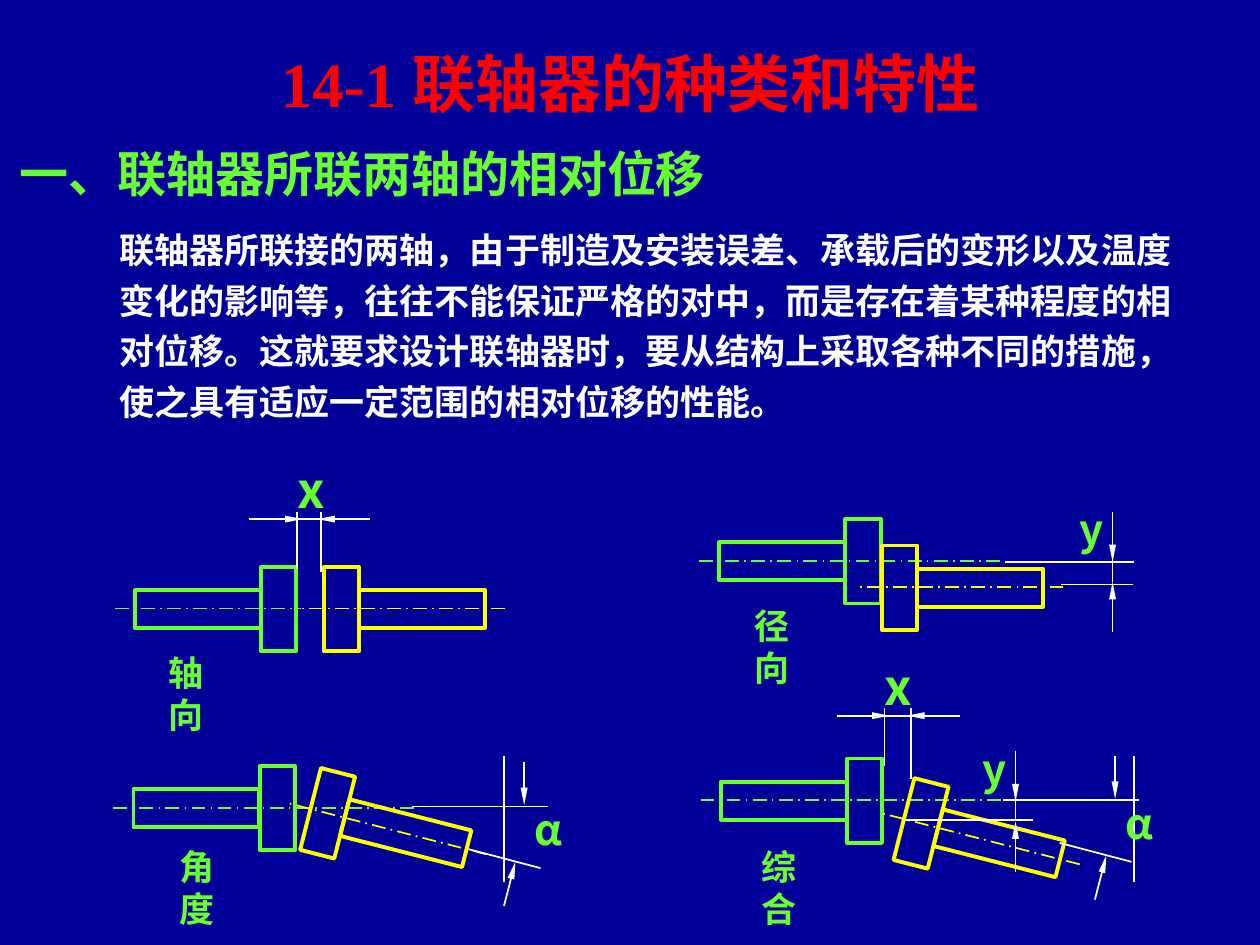
import math
from lxml import etree
from pptx import Presentation
from pptx.dml.color import RGBColor
from pptx.enum import dml, shapes, text
from pptx.oxml import ns
from pptx.util import Inches, Pt

NAVY = RGBColor(0x00, 0x00, 0x99)
RED = RGBColor(0xFF, 0x00, 0x00)
GREEN = RGBColor(0x66, 0xFF, 0x33)
YELLOW = RGBColor(0xFF, 0xFF, 0x00)
WHITE = RGBColor(0xFF, 0xFF, 0xFF)
SANS, SERIF = "Noto Sans CJK SC", "Times New Roman"

# Content
TITLE = "14-1 联轴器的种类和特性"
HEAD = "一、联轴器所联两轴的相对位移"
BODY = ("联轴器所联接的两轴，由于制造及安装误差、承载后的变形以及温度变化的影响等，"
        "往往不能保证严格的对中，而是存在着某种程度的相对位移。这就要求设计联轴器时，"
        "要从结构上采取各种不同的措施，使之具有适应一定范围的相对位移的性能。")

# Name, its place, green flange, end of green axis, yellow flange, tilt, yellow axis
PAIRS = [
    ("轴向", (1.1, 5.12), (2.07, 4.5), 2.39, (2.57, 4.5), 0, (4.01, 4.83, 2.37, 4.83)),
    ("径向", (5.75, 4.75), (6.71, 4.12), 7.96, (7, 4.33), 0, (8.44, 4.66, 6.8, 4.66)),
    ("角度", (1.19, 6.66), (2.06, 6.08), 3.3, (2.46, 6.12), 14.3, (3.86, 6.78, 2.27, 6.37)),
    ("综合", (5.81, 6.66), (6.72, 6.02), 7.96, (7.17, 6.2), 14.3, (8.57, 6.86, 6.98, 6.45)),
]
# Left extension line, height of the arrows, gap, ends of the extension lines
X_DIMS = [(2.36, 4.12, 0.19, 4.52, 4.54), (7.02, 5.68, 0.21, 6.08, 6.18)]
# Arrow x, top of the upper arrow, reference lines
Y_DIMS = [
    (8.83, 4.06, [(7.98, 4.46, 9, 4.46), (8.42, 4.64, 8.99, 4.64)]),
    (8.06, 5.96, [(7.18, 6.51, 8.2, 6.51)]),
]
# Left end of the level line
ANGLES = [(3.27, 6.4), (7.96, 6.35)]

FLANGE, SHAFT = (0.28, 0.67), (1, 0.3)

prs = Presentation()
prs.slide_width, prs.slide_height = Inches(10), Inches(7.5)
slide = prs.slides.add_slide(prs.slide_layouts[5])
slide.background.fill.solid()
slide.background.fill.fore_color.rgb = NAVY


def style(frame, words, size, color, face=SANS, align=text.PP_ALIGN.LEFT):
    frame.text = words
    par = frame.paragraphs[0]
    par.alignment = align
    font = par.font
    font.size, font.bold, font.name = Pt(size), True, face
    font.color.rgb = color
    latin = par._p.pPr.find(".//" + ns.qn("a:latin"))
    east = etree.Element(ns.qn("a:ea"), typeface=SANS)
    latin.addnext(east)
    return par


def label(words, box, size, color=GREEN, face=SANS, wrap=False, inset=True, **kw):
    frame = slide.shapes.add_textbox(*map(Inches, box)).text_frame
    frame.word_wrap = wrap
    if not inset:
        frame.margin_left = frame.margin_right = 0
        frame.margin_top = frame.margin_bottom = 0
    return style(frame, words, size, color, face, **kw)


def line(ends, color=WHITE, dash=False, arrow=False):
    item = slide.shapes.add_connector(shapes.MSO_CONNECTOR.STRAIGHT, *map(Inches, ends))
    item.line.color.rgb = color
    item.line.width = Pt(1)
    if dash:
        item.line.dash_style = dml.MSO_LINE.LONG_DASH_DOT
    if arrow:
        etree.SubElement(item.line._get_or_add_ln(), ns.qn("a:tailEnd"),
                         type="triangle", w="sm", len="lg")
    etree.SubElement(item._element.spPr, ns.qn("a:effectLst"))


def block(mid, size, color, tilt=0):
    (x, y), (w, h) = mid, size
    item = slide.shapes.add_shape(shapes.MSO_SHAPE.RECTANGLE,
                                  *map(Inches, (x - w / 2, y - h / 2, w, h)))
    item.rotation = tilt
    item.shadow.inherit = False
    item.fill.background()
    item.line.color.rgb = color
    item.line.width = Pt(2.25)


def half(corner, color, side, tilt=0):
    """Draw a flange, and its shaft to the left (-1) or right (1)."""
    x, y = (c + s / 2 for c, s in zip(corner, FLANGE))
    step = side * (FLANGE[0] + SHAFT[0]) / 2
    turn = math.radians(tilt)
    block((x, y), FLANGE, color, tilt)
    block((x + step * math.cos(turn), y + step * math.sin(turn)), SHAFT, color, tilt)


# Title, heading and body text
title = slide.shapes.title
title.left, title.top, title.width, title.height = map(Inches, (0.75, 0.24, 8.5, 0.83))
title.text_frame.vertical_anchor = text.MSO_ANCHOR.MIDDLE
style(title.text_frame, TITLE, 36, RED, SERIF, text.PP_ALIGN.CENTER)
label(HEAD, (0.06, 1.09, 6.01, 0.57), 28, face=SERIF, wrap=True)
body = label(BODY, (0.85, 1.7, 8.57, 1.82), 20, WHITE, SERIF, wrap=True)
body.line_spacing = 1.2

# Shaft pairs
for name, place, left, end, right, tilt, axis in PAIRS:
    half(left, GREEN, -1)
    level = left[1] + 0.33
    line((left[0] - 1.16, level, end, level), GREEN, dash=True)
    half(right, YELLOW, 1, tilt)
    line(axis, YELLOW, dash=True)
    label(name, (*place, 0.75, 0.44), 20, align=text.PP_ALIGN.CENTER)

# Axial gaps
for x, y, gap, low, low2 in X_DIMS:
    far = x + gap
    line((x, low, x, y - 0.06))
    line((far, low2, far, y - 0.06))
    line((x - 0.38, y, x + 0.04, y), arrow=True)
    line((far + 0.39, y, far - 0.03, y), arrow=True)
    line((far, y, x, y))
    label("x", (x, y - 0.47, 0.23, 0.47), 28, inset=False)

# Radial offsets
for x, y, refs in Y_DIMS:
    for ref in refs:
        line(ref)
    line((x, y, x, y + 0.4), arrow=True)
    line((x, y + 0.96, x, y + 0.56), arrow=True)
    line((x, y + 0.56, x, y + 0.38))
    label("y", (x - 0.26, y - 0.06, 0.2, 0.4), 24, inset=False)

# Angles
for x, y in ANGLES:
    line((x, y, x + 1.08, y))
    line((x + 0.45, y + 0.34, x + 1.02, y + 0.49))
    line((x + 0.89, y - 0.35, x + 0.89, y - 0.01), arrow=True)
    line((x + 0.73, y + 0.79, x + 0.82, y + 0.44), arrow=True)
    arc = [(x + dx, y + dy) for dx, dy in
           [(0.82, 0.44), (0.86, 0.35), (0.88, 0.24), (0.89, 0)]]
    pen = slide.shapes.build_freeform(*arc[0], scale=Inches(1))
    pen.add_line_segments(arc[1:], close=False)
    curve = pen.convert_to_shape()
    curve.shadow.inherit = False
    curve.fill.background()
    curve.line.color.rgb = WHITE
    curve.line.width = Pt(1)
    label("α", (x + 0.97, y - 0.02, 0.4, 0.4), 24, inset=False)

prs.save("out.pptx")
